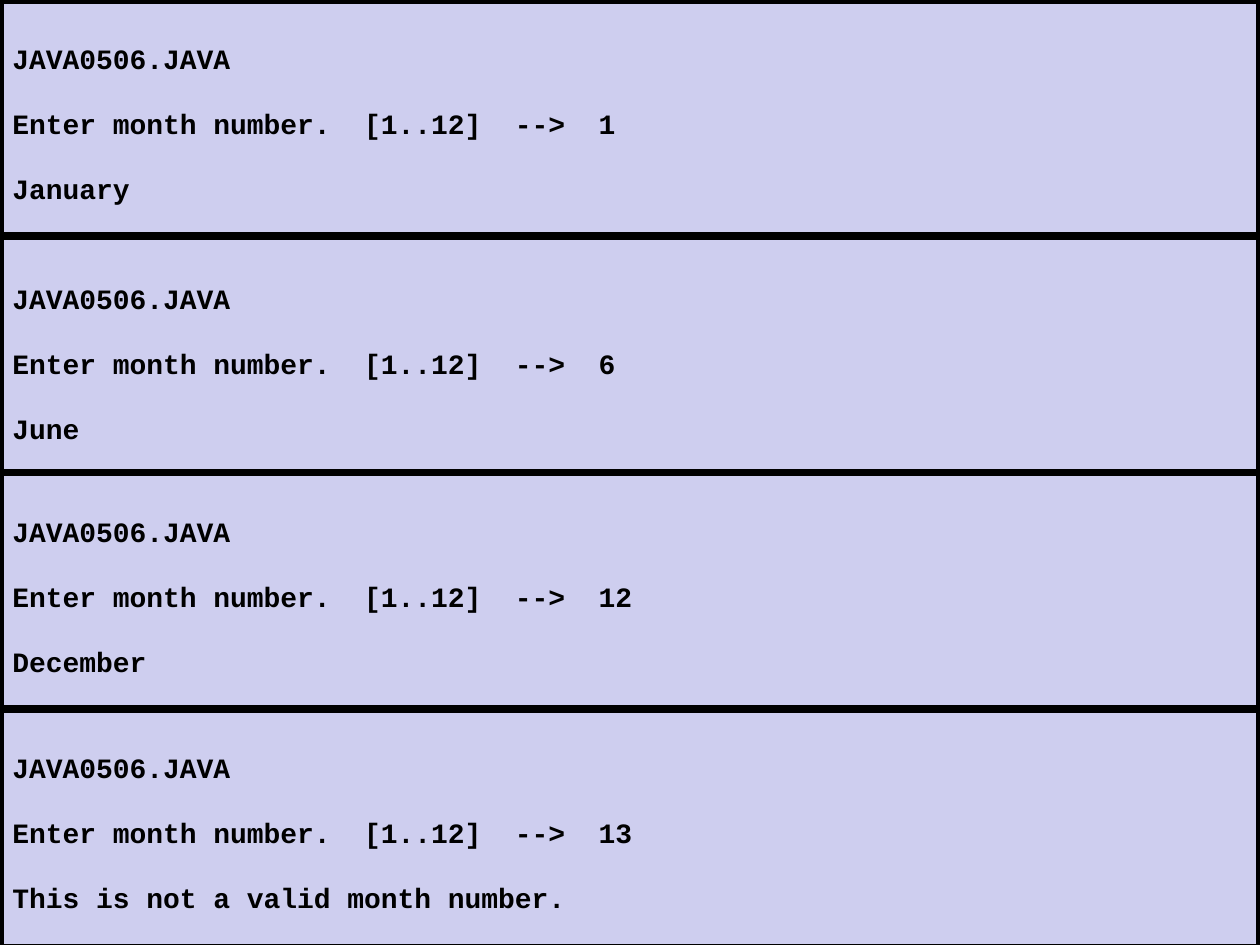
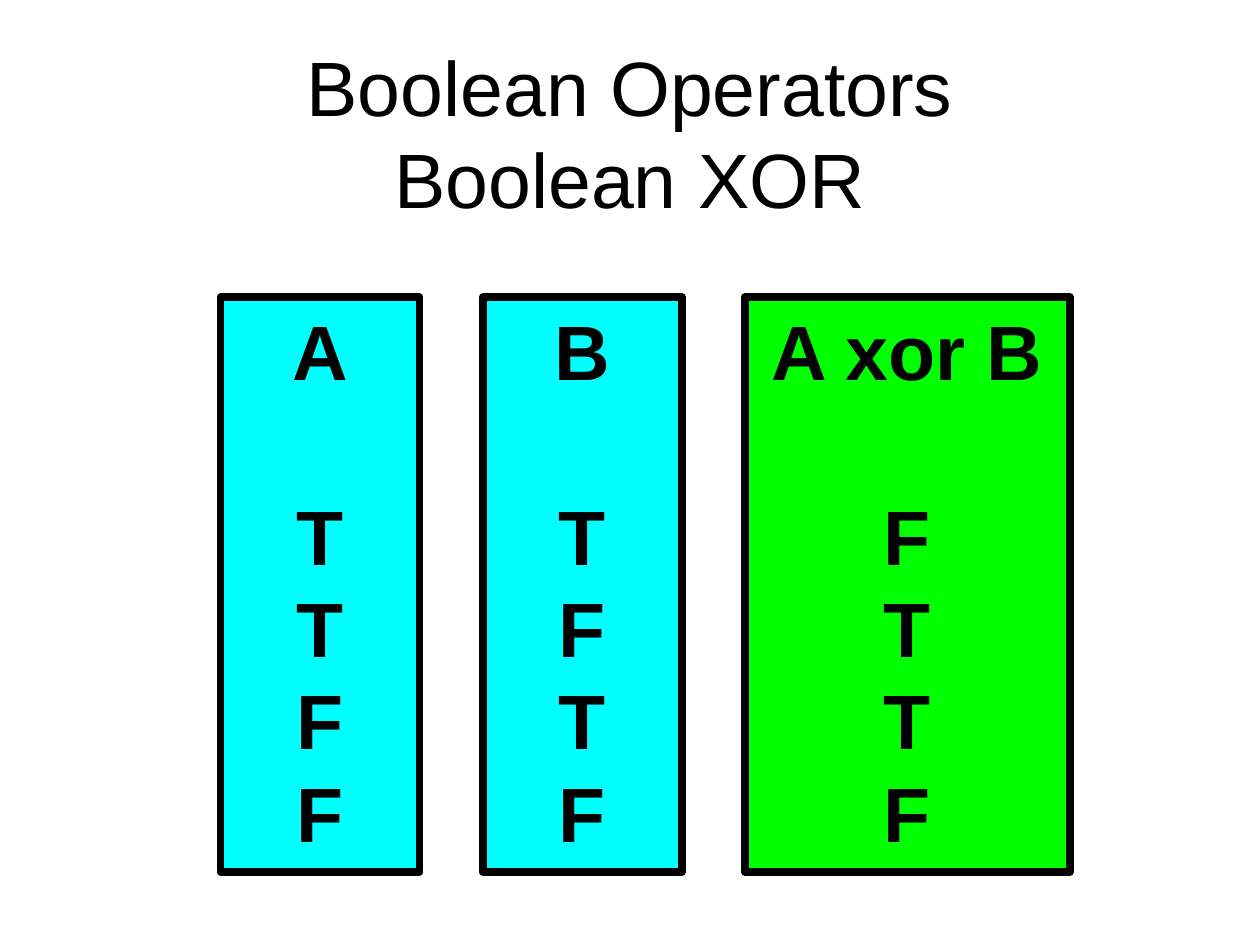
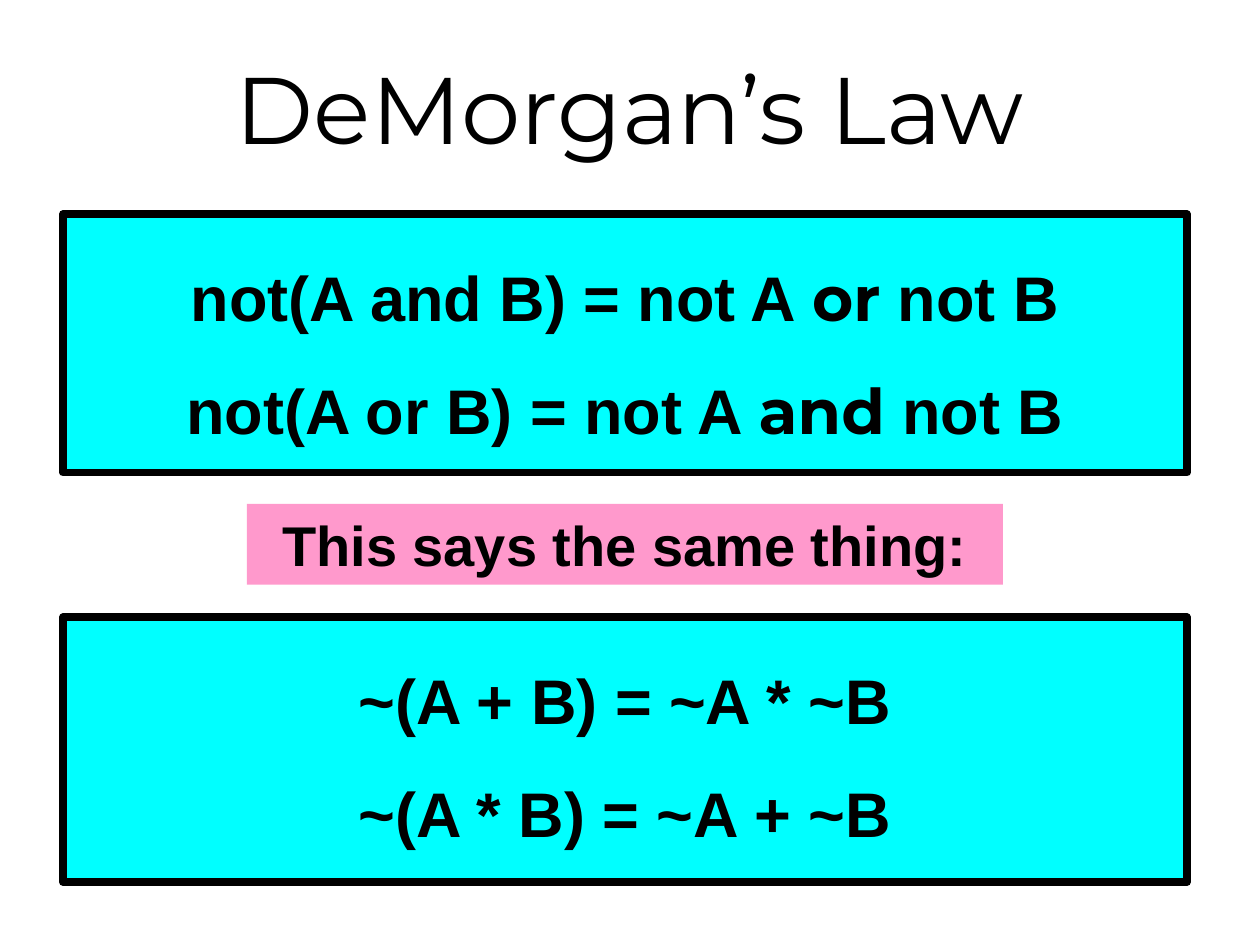
from pptx import Presentation
from pptx.dml.color import RGBColor as RGB
from pptx.enum.shapes import MSO_SHAPE as SHAPE
from pptx.enum.text import MSO_ANCHOR as ANCHOR, PP_ALIGN as ALIGN
from pptx.util import Inches, Pt

COLORS = {"ink": "000000", "console": "CECEEF", "input": "00FFFF",
          "result": "00FF00", "note": "FF99CC"}
SANS, MONO, DISPLAY = "Arial", "Courier New", "Montserrat"


def color(name):
    return RGB.from_string(COLORS[name])


def style_run(r, size, font, bold):
    r.font.size = Pt(size)
    r.font.name = font
    r.font.bold = bold
    r.font.color.rgb = color("ink")


def add_title(s, box, text, size, font):
    tf = s.shapes.add_textbox(*map(Inches, box)).text_frame
    tf.word_wrap = True
    tf.vertical_anchor = ANCHOR.MIDDLE
    p = tf.paragraphs[0]
    p.text = text
    p.alignment = ALIGN.CENTER
    for r in p.runs:
        style_run(r, size, font, False)


def add_panel(s, box, fill, lines, size, font=SANS, align=ALIGN.CENTER,
              outlined=True, inset=0.05, spacing=None):
    sp = s.shapes.add_shape(SHAPE.RECTANGLE, *map(Inches, box))
    sp.shadow.inherit = False
    sp.fill.solid()
    sp.fill.fore_color.rgb = color(fill)
    if outlined:
        sp.line.color.rgb = color("ink")
        sp.line.width = Pt(4.5)
    else:
        sp.line.fill.background()
    tf = sp.text_frame
    tf.word_wrap = True
    tf.vertical_anchor = ANCHOR.TOP
    tf.margin_top = Inches(inset)
    for i, line in enumerate(lines):
        p = tf.add_paragraph() if i else tf.paragraphs[0]
        p.alignment = align
        p.line_spacing = spacing
        parts = [(line, font)] if isinstance(line, str) else line
        for text, face in parts:
            r = p.add_run()
            r.text = text
            style_run(r, size, face, True)
    return tf.paragraphs


def add_console(s, box, month, answer, inset):
    lines = ["JAVA0506.JAVA",
             f"Enter month number.  [1..12]  -->  {month}", answer]
    paragraphs = add_panel(s, box, "console", lines, 16, MONO, ALIGN.LEFT,
                           inset=inset)
    for p in paragraphs[1:]:
        p.space_before = Pt(18)


def add_truth_column(s, box, fill, heading, values):
    paragraphs = add_panel(s, box, fill, [heading, *values], 44)
    paragraphs[1].space_before = Pt(52.8)


def console_slide(s):
    runs = [(1, "January", 1.88, 0.33), (6, "June", 1.99, 0.36),
            (12, "December", 1.88, 0.33), (13, "This is not a valid month number.", 1.9, 0.33)]
    for i, (month, answer, height, inset) in enumerate(runs):
        add_console(s, (0, 1.875 * i, 10, height), month, answer, inset)


def xor_slide(s):
    add_title(s, (0.75, 0.42, 8.5, 1.25), "Boolean Operators\vBoolean XOR", 44, SANS)
    columns = [("A", "TTFF", "input", 1.58), ("B", "TFTF", "input", 1.58),
               ("A xor B", "FTTF", "result", 2.58)]
    left, gap = 1.75, 0.5
    for heading, values, fill, width in columns:
        add_truth_column(s, (left, 2.36, width, 4.56), fill, heading, values)
        left += width + gap


def law_slide(s):
    add_title(s, (0, 0, 10, 1.7), "DeMorgan’s Law", 54, DISPLAY)
    worded = [[(f"not(A {inner} B) = not A ", SANS), (outer, DISPLAY), (" not B", SANS)]
              for inner, outer in (("and", "or"), ("or", "and"))]
    symbolic = [f"~(A {inner} B) = ~A {outer} ~B" for inner, outer in ("+*", "*+")]
    for top, height, lines in ((1.7, 2.05, worded), (4.9, 2.1, symbolic)):
        add_panel(s, (0.5, top, 8.92, height), "input", lines, 36, spacing=1.5)
    add_panel(s, (1.96, 4, 6, 0.64), "note", ["This says the same thing:"], 32,
              outlined=False)


def main():
    prs = Presentation()
    prs.slide_width, prs.slide_height = Inches(10), Inches(7.5)
    for build in (console_slide, xor_slide, law_slide):
        build(prs.slides.add_slide(prs.slide_layouts[6]))
    prs.save("out.pptx")


if __name__ == "__main__":
    main()
